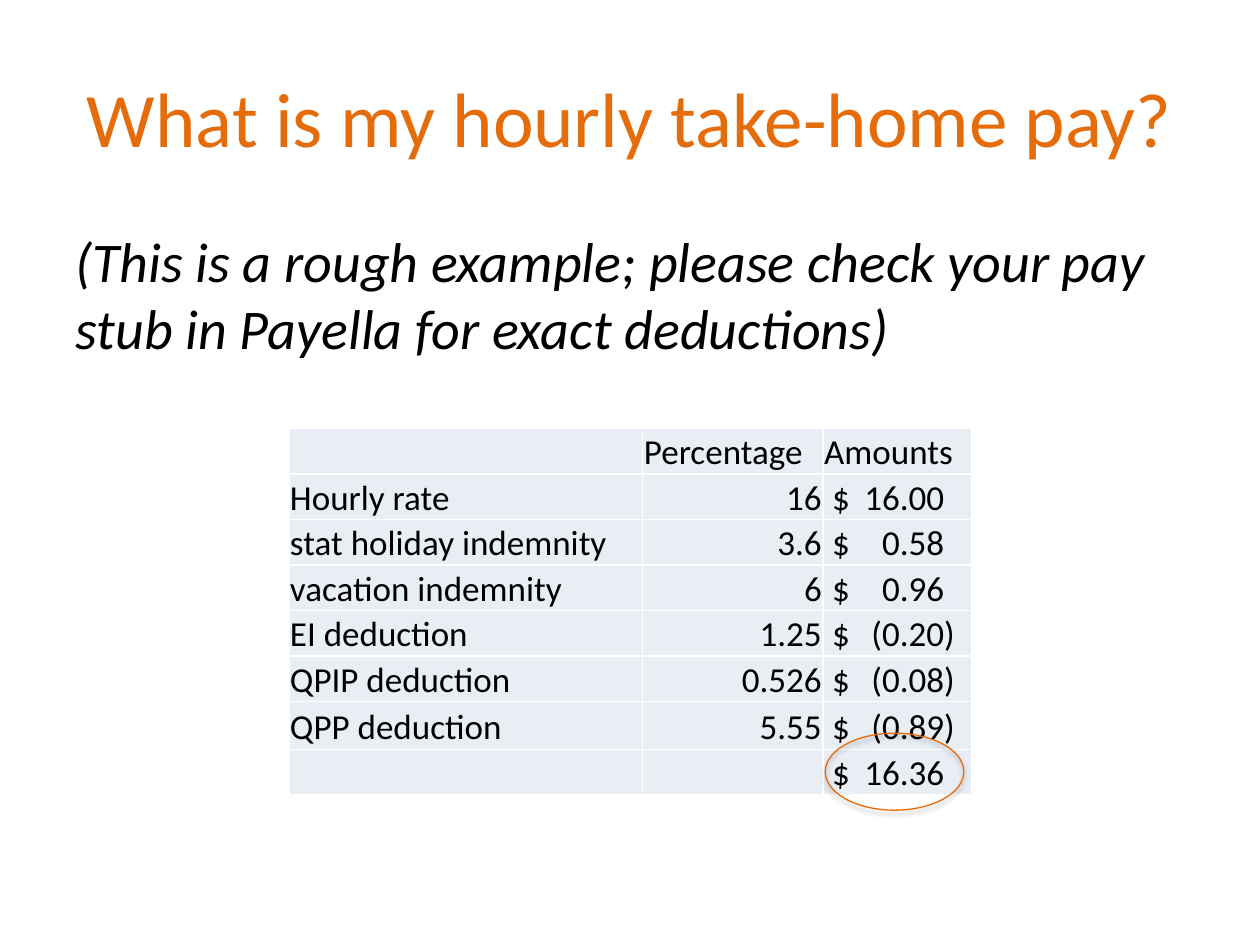
"""Builds a slide that works out hourly take-home pay."""
import pptx
import pptx.dml.color
import pptx.enum.shapes
import pptx.enum.text
import pptx.oxml
import pptx.oxml.ns
import pptx.util

Pt = pptx.util.Pt
ALIGN = pptx.enum.text.PP_ALIGN
ANCHOR = pptx.enum.text.MSO_ANCHOR

TITLE = "What is my hourly take-home pay?"
NOTE = "(This is a rough example; please check your pay stub in Payella for exact deductions)"
HEADER = ("", "Percentage", "Amounts")
PAY_ROWS = [
    ("Hourly rate", "16", "16.00"),
    ("stat holiday indemnity", "3.6", "0.58"),
    ("vacation indemnity", "6", "0.96"),
    ("EI deduction", "1.25", "(0.20)"),
    ("QPIP deduction", "0.526", "(0.08)"),
    ("QPP deduction", "5.55", "(0.89)"),
    ("", "", "16.36"),
]

THEME = {
    "font": "Calibri", "accent": "E46C0A", "ink": "000000", "cell": "E9EDF4", "rule": "FFFFFF",
    "title": 44, "note": 32, "table": 20,
}
PAGE = (720, 540)
TITLE_BOX = (36, 21.6, 648, 90)
NOTE_BOX = (36, 126, 648, 356.4)
TABLE_AT = (165, 245)
COLUMN_WIDTHS = (202.3, 103, 85)
COLUMN_ALIGN = (ALIGN.LEFT, ALIGN.RIGHT, ALIGN.LEFT)
ROW_HEIGHT, LAST_DEDUCTION_HEIGHT = 26, 27.3
CELL_INSET, AMOUNT_INSET, DECIMAL_TAB = 0.72, 5.3, 38.7
RING = (471.6, 419, 79.2, 44)
RING_LINE, CELL_LINE = 0.75, 1


def lengths(values):
    return [Pt(value) for value in values]


def colour(name):
    return pptx.dml.color.RGBColor.from_string(THEME[name])


def assign(target, values):
    for name, value in values.items():
        setattr(target, name, value)


def xml(tag, attributes, inner):
    namespace = pptx.oxml.ns.nsdecls("a")
    return pptx.oxml.parse_xml(f"<a:{tag} {namespace} {attributes}>{inner}</a:{tag}>")


def write(frame, text, size, ink="ink", align=ALIGN.LEFT, italic=False, before=0):
    para = frame.paragraphs[0]
    assign(para, {"alignment": align, "space_before": Pt(before)})
    span = para.add_run()
    span.text = text
    assign(span.font, {"name": THEME["font"], "size": Pt(THEME[size]), "italic": italic})
    span.font.color.rgb = colour(ink)
    return para


def add_text(page, place, anchor, text, size, **style):
    frame = page.shapes.add_textbox(*lengths(place)).text_frame
    assign(frame, {"word_wrap": True, "vertical_anchor": anchor})
    write(frame, text, size, **style)


def format_cell(cell, left_inset):
    assign(cell, {
        "vertical_anchor": ANCHOR.BOTTOM, "margin_left": Pt(left_inset),
        "margin_right": Pt(CELL_INSET), "margin_top": Pt(CELL_INSET), "margin_bottom": 0,
    })
    properties = cell._tc.get_or_add_tcPr()
    paint = f'<a:solidFill><a:srgbClr val="{THEME["rule"]}"/></a:solidFill>'
    for side in "LRTB":
        properties.append(xml(f"ln{side}", f'w="{Pt(CELL_LINE)}"', paint))
    cell.fill.solid()
    cell.fill.fore_color.rgb = colour("cell")


def add_pay_table(page):
    rows = [HEADER] + PAY_ROWS
    heights = [ROW_HEIGHT] * len(rows)
    heights[-2] = LAST_DEDUCTION_HEIGHT
    size = (sum(COLUMN_WIDTHS), sum(heights))
    table = page.shapes.add_table(len(rows), len(HEADER), *lengths(TABLE_AT + size)).table
    assign(table, {"first_row": False, "horz_banding": False})
    for column, width in zip(table.columns, COLUMN_WIDTHS):
        column.width = Pt(width)
    for r, (values, height) in enumerate(zip(rows, heights)):
        table.rows[r].height = Pt(height)
        for c, value in enumerate(values):
            cell = table.cell(r, c)
            is_amount = r > 0 and c == 2
            format_cell(cell, AMOUNT_INSET if is_amount else CELL_INSET)
            if not value:
                continue
            text = f"$\t{value}" if is_amount else value
            align = COLUMN_ALIGN[c] if r else ALIGN.LEFT
            para = write(cell.text_frame, text, "table", align=align)
            if is_amount:
                stop = f'<a:tab pos="{Pt(DECIMAL_TAB)}" algn="dec"/>'
                para._p.get_or_add_pPr().append(xml("tabLst", "", stop))


def add_ring(page):
    ring = page.shapes.add_shape(pptx.enum.shapes.MSO_SHAPE.OVAL, *lengths(RING))
    ring.fill.background()
    ring.line.color.rgb = colour("accent")
    ring.line.width = Pt(RING_LINE)
    shadow = (f'<a:outerShdw blurRad="{Pt(3.1)}" dist="{Pt(1.8)}" dir="5400000" rotWithShape="0">'
              f'<a:srgbClr val="{THEME["ink"]}"><a:alpha val="35000"/></a:srgbClr></a:outerShdw>')
    ring._element.spPr.append(xml("effectLst", "", shadow))


def main():
    deck = pptx.Presentation()
    deck.slide_width, deck.slide_height = lengths(PAGE)
    page = deck.slides.add_slide(deck.slide_layouts[6])
    add_text(page, TITLE_BOX, ANCHOR.MIDDLE, TITLE, "title", ink="accent", align=ALIGN.CENTER)
    add_text(page, NOTE_BOX, ANCHOR.TOP, NOTE, "note", italic=True, before=6.4)
    add_pay_table(page)
    add_ring(page)
    deck.save("out.pptx")


if __name__ == "__main__":
    main()
